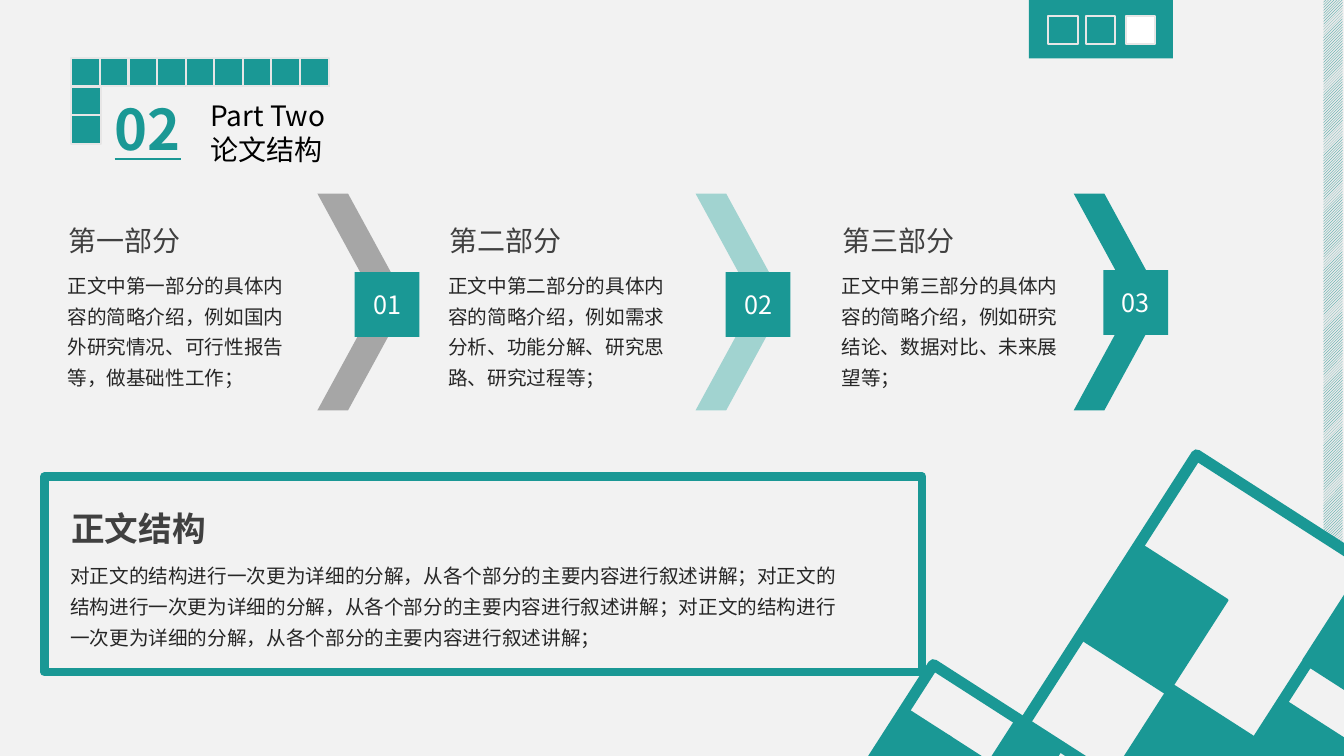
from dataclasses import dataclass

from lxml import etree
from pptx import Presentation
from pptx.dml.color import RGBColor
from pptx.enum.dml import MSO_PATTERN
from pptx.enum.shapes import MSO_SHAPE
from pptx.enum.text import MSO_ANCHOR, MSO_AUTO_SIZE, PP_ALIGN
from pptx.oxml.ns import qn
from pptx.shapes.autoshape import Shape
from pptx.slide import Slide
from pptx.util import Cm, Pt

RECTANGLE = MSO_SHAPE.RECTANGLE
CHEVRON = MSO_SHAPE.CHEVRON
DIAGONAL = MSO_PATTERN.LIGHT_UPWARD_DIAGONAL
MIDDLE = MSO_ANCHOR.MIDDLE
CENTER = PP_ALIGN.CENTER
FIT_SHAPE = MSO_AUTO_SIZE.SHAPE_TO_FIT_TEXT

FONT = "Noto Sans CJK SC"
TEAL = RGBColor(0x1A, 0x98, 0x95)
PALE_TEAL = RGBColor(0xA1, 0xD3, 0xD0)
GREY = RGBColor(0xA6, 0xA6, 0xA6)
PAPER = RGBColor(0xF2, 0xF2, 0xF2)
STRIPE = RGBColor(0xE9, 0xE9, 0xE9)
EDGE = RGBColor(0xE7, 0xE6, 0xE6)
HEADING = RGBColor(0x40, 0x40, 0x40)
BODY = RGBColor(0x26, 0x26, 0x26)
BLACK = RGBColor(0, 0, 0)
WHITE = RGBColor(0xFF, 0xFF, 0xFF)

TILE_PITCH = 0.72
CHEVRON_PITCH = 9.53


@dataclass(frozen=True)
class Area:
    """A place on the slide, in centimetres."""
    left: float
    top: float
    width: float
    height: float


@dataclass(frozen=True)
class TextStyle:
    size: float
    color: RGBColor
    bold: bool = False
    underline: bool = False
    spacing: float | None = None


@dataclass(frozen=True)
class Section:
    title: str
    detail: str
    text_left: float
    badge_left: float
    badge_top: float
    color: RGBColor


@dataclass(frozen=True)
class TiltedBlock:
    area: Area
    angle: float
    panel: bool = False


TITLE_STYLE = TextStyle(20, HEADING)
DETAIL_STYLE = TextStyle(14, BODY, spacing=1.3)

SECTIONS = [
    Section("第一部分", "正文中第一部分的具体内容的简略介绍，例如国内外研究情况、可行性报告等，做基础性工作；",
            1.47, 8.94, 6.86, GREY),
    Section("第二部分", "正文中第二部分的具体内容的简略介绍，例如需求分析、功能分解、研究思路、研究过程等；",
            11.07, 18.29, 6.86, PALE_TEAL),
    Section("第三部分", "正文中第三部分的具体内容的简略介绍，例如研究结论、数据对比、未来展望等；",
            20.98, 27.81, 6.81, TEAL),
]

TILTED_BLOCKS = [
    TiltedBlock(Area(26.31, 13.56, 10.62, 10.31), 122.7, panel=True),
    TiltedBlock(Area(27.64, 14.25, 2.82, 2.67), 122.7),
    TiltedBlock(Area(33.32, 14.83, 2.82, 2.67), 122.7),
    TiltedBlock(Area(28.47, 17.81, 2.82, 2.67), 122.7),
    TiltedBlock(Area(31.17, 17.55, 4.9, 5.26), 212.7, panel=True),
    TiltedBlock(Area(31.7, 18.19, 2.64, 1.35), 212.7),
    TiltedBlock(Area(31.12, 18.9, 1.37, 1.35), 212.7),
    TiltedBlock(Area(21.69, 17.73, 5.18, 5.26), 212.7, panel=True),
    TiltedBlock(Area(25.17, 18.34, 1.37, 1.35), 212.7),
    TiltedBlock(Area(22.02, 18.01, 1.37, 2.54), 212.7),
    TiltedBlock(Area(23.42, 18.8, 1.37, 1.35), 212.7),
]


def add_block(page: Slide, area: Area, fill: RGBColor | None, line: RGBColor | None = None,
              weight: float = 1.5, angle: float = 0, kind: MSO_SHAPE = RECTANGLE) -> Shape:
    block = page.shapes.add_shape(kind, Cm(area.left), Cm(area.top), Cm(area.width), Cm(area.height))
    block.shadow.inherit = False
    block.rotation = angle
    if fill is None:
        block.fill.background()
    else:
        block.fill.solid()
        block.fill.fore_color.rgb = fill
    if line is None:
        block.line.fill.background()
    else:
        block.line.color.rgb = line
        block.line.width = Pt(weight)
    return block


def set_text(box: Shape, text: str, style: TextStyle) -> None:
    box.text_frame.text = text
    for para in box.text_frame.paragraphs:
        if style.spacing:
            para.line_spacing = style.spacing
        for span in para.runs:
            span.font.size = Pt(style.size)
            span.font.bold = style.bold
            span.font.underline = style.underline
            span.font.color.rgb = style.color
            span.font.name = FONT
            # East Asian glyphs take their own typeface element
            latin = span.font._element.find(qn("a:latin"))
            east_asian = etree.Element(qn("a:ea"), typeface=FONT)
            latin.addnext(east_asian)


def add_text(page: Slide, area: Area, text: str, style: TextStyle, wrap: bool = True) -> None:
    box = page.shapes.add_textbox(Cm(area.left), Cm(area.top), Cm(area.width), Cm(area.height))
    box.text_frame.word_wrap = wrap
    box.text_frame.auto_size = FIT_SHAPE
    set_text(box, text, style)


def add_tile(page: Slide, left: float, top: float, fill: RGBColor = TEAL) -> None:
    add_block(page, Area(left, top, 0.74, 0.71), fill, EDGE)


def draw_backdrop(page: Slide) -> None:
    # Hatched strip along the right edge
    strip = add_block(page, Area(24.03, 9.25, 19.13, 0.48), TEAL, angle=270)
    strip.fill.patterned()
    strip.fill.pattern = DIAGONAL
    strip.fill.fore_color.rgb = TEAL
    strip.fill.back_color.rgb = STRIPE

    # Tiles in an L around the part number
    for column in range(9):
        add_tile(page, 1.8 + column * TILE_PITCH, 1.47)
    for row in (1, 2):
        add_tile(page, 1.8, 1.47 + row * TILE_PITCH)

    # Tilted checkered panels in the lower right corner
    for block in TILTED_BLOCKS:
        fill, weight = (PAPER, 8) if block.panel else (TEAL, 1.5)
        add_block(page, block.area, fill, TEAL, weight, block.angle)


def draw_header(page: Slide) -> None:
    # Progress marker
    add_block(page, Area(25.93, 0, 3.63, 1.47), TEAL)
    for left, fill in ((26.42, TEAL), (27.36, TEAL), (28.37, WHITE)):
        add_tile(page, left, 0.41, fill)
    # Part number and name
    add_text(page, Area(2.64, 2.26, 2.41, 1.96), "02", TextStyle(40, TEAL, bold=True, underline=True))
    add_text(page, Area(5.05, 2.36, 6.1, 1.96), "Part Two\n论文结构", TextStyle(20, BLACK))


def draw_section(page: Slide, index: int, section: Section) -> None:
    arrow = add_block(page, Area(8 + index * CHEVRON_PITCH, 4.88, 2.26, 5.46), section.color, kind=CHEVRON)
    arrow.adjustments[0] = 0.658
    add_text(page, Area(section.text_left, 5.51, 3.35, 1.12), section.title, TITLE_STYLE, wrap=False)
    add_text(page, Area(section.text_left - 0.02, 6.6, 5.97, 3.3), section.detail, DETAIL_STYLE)
    badge = add_block(page, Area(section.badge_left, section.badge_top, 1.63, 1.63), TEAL)
    set_text(badge, f"{index + 1:02}", TextStyle(18, WHITE))
    badge.text_frame.vertical_anchor = MIDDLE
    badge.text_frame.paragraphs[0].alignment = CENTER


def draw_summary(page: Slide) -> None:
    add_text(page, Area(1.55, 12.67, 4.01, 1.27), "正文结构", TextStyle(24, HEADING, bold=True), wrap=False)
    sentence = "对正文的结构进行一次更为详细的分解，从各个部分的主要内容进行叙述讲解；"
    add_text(page, Area(1.52, 13.92, 20.12, 2.51), sentence * 3, DETAIL_STYLE)
    add_block(page, Area(1.12, 12.01, 22.12, 4.93), None, TEAL, 6)


def main() -> None:
    deck = Presentation()
    deck.slide_width, deck.slide_height = Cm(33.87), Cm(19.05)
    page = deck.slides.add_slide(deck.slide_layouts[6])
    page.background.fill.solid()
    page.background.fill.fore_color.rgb = PAPER
    draw_backdrop(page)
    draw_header(page)
    for index, section in enumerate(SECTIONS):
        draw_section(page, index, section)
    draw_summary(page)
    deck.save("out.pptx")


if __name__ == "__main__":
    main()
